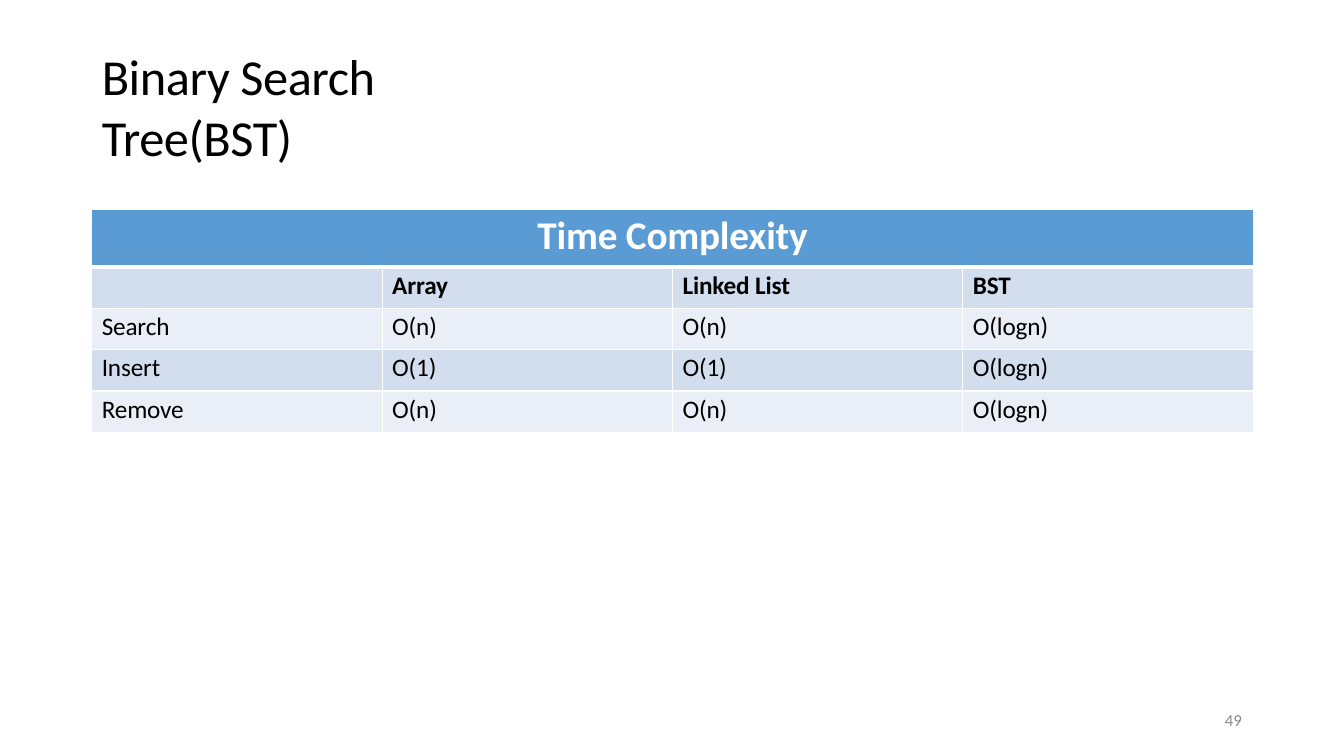
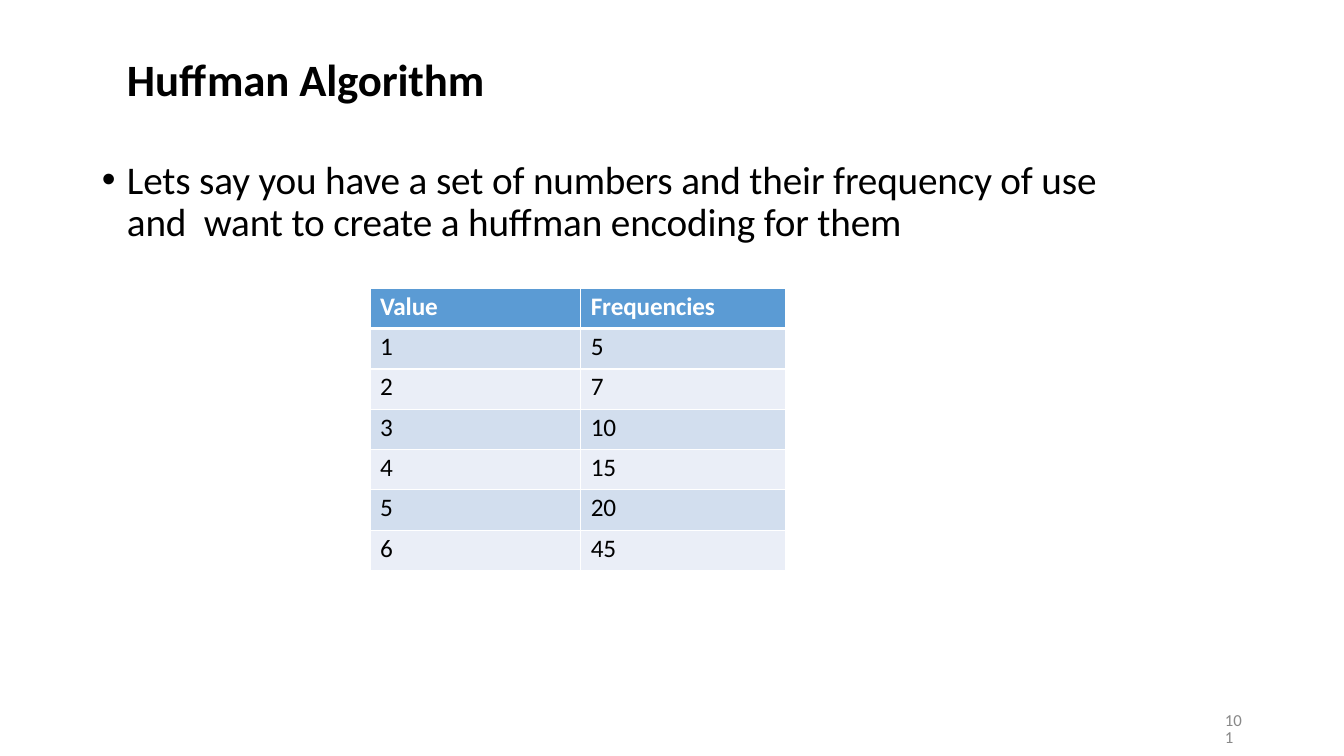
import pptx
import pptx.dml.color
import pptx.enum.text
import pptx.oxml.ns
import pptx.util
from lxml import etree

Inches, Pt = pptx.util.Inches, pptx.util.Pt
ALIGN = pptx.enum.text.PP_ALIGN
FONT = "Calibri"
BLACK, WHITE, GREY = "000000", "FFFFFF", "888888"
HEADER_FILL, BAND_FILLS = "5B9BD4", ("D2DEEE", "EAEEF7")
RULE, HEADER_RULE = 1, 3  # table border widths in points


def color(hex_value):
    return pptx.dml.color.RGBColor.from_string(hex_value)


def sub(parent, tag, **attributes):
    return etree.SubElement(parent, pptx.oxml.ns.qn(tag), attributes)


def write(paragraph, text, size, hex_value, bold=False, tracking=-0.1):
    """Put text in one paragraph; tracking is in points."""
    run = paragraph.add_run()
    run.text = text
    run._r.get_or_add_rPr().set("spc", str(round(tracking * 100)))
    font = paragraph.font
    font.name, font.size, font.bold = FONT, Pt(size), bold
    font.color.rgb = color(hex_value)


def add_text(slide, left, top, width, height, inset_left=0, inset_top=0):
    """Add an empty wrapping text box and return its first paragraph."""
    box = slide.shapes.add_textbox(
        Inches(left), Inches(top), Inches(width), Inches(height))
    frame = box.text_frame
    frame.word_wrap = True
    frame.margin_left, frame.margin_top = Inches(inset_left), Inches(inset_top)
    frame.margin_right = frame.margin_bottom = 0
    return frame.paragraphs[0]


def add_title(slide, text, left, top, width, height, size, **style):
    title = add_text(slide, left, top, width, height, 0.01, 0.01)
    write(title, text, size, BLACK, **style)


def add_page_number(slide, number):
    page = add_text(slide, 12.12, 7.07, 0.23, 0.2, 0.03)
    page.line_spacing = Pt(12.4)
    write(page, str(number), 12, GREY, tracking=0)


def add_bullet(slide, text, left, top, width, height):
    bullet = add_text(slide, left, top, width, height, inset_top=0.08)
    properties = bullet._p.get_or_add_pPr()
    properties.set("marL", str(Inches(0.26)))
    properties.set("indent", str(-Inches(0.25)))
    bullet.line_spacing = Pt(30.2)
    sub(properties, "a:buFont", typeface="Arial")
    sub(properties, "a:buChar", char="•")
    write(bullet, text, 28, BLACK)


# Tables
def set_borders(cell, top, bottom):
    properties = cell._tc.get_or_add_tcPr()
    sides = {"a:lnL": RULE, "a:lnR": RULE, "a:lnT": top, "a:lnB": bottom}
    for side, width in sides.items():
        line = sub(properties, side, w=str(Pt(width)))
        sub(sub(line, "a:solidFill"), "a:srgbClr", val=WHITE)


def add_banded_table(slide, rows, left, top, column_widths, row_heights,
                     header_size=18, bold_rows=(0,)):
    """Header row in blue, then alternating bands; a lone header cell spans all."""
    table = slide.shapes.add_table(
        len(rows), len(column_widths), Inches(left), Inches(top),
        Inches(sum(column_widths)), Inches(sum(row_heights))).table
    table.first_row = table.horz_banding = False
    for column, width in zip(table.columns, column_widths):
        column.width = Inches(width)
    for r, (row, height) in enumerate(zip(rows, row_heights)):
        table.rows[r].height = Inches(height)
        is_header = r == 0
        for c, cell in enumerate(table.rows[r].cells):
            cell.margin_left = cell.margin_right = Inches(0.1)
            cell.margin_top, cell.margin_bottom = Inches(0.03), 0
            set_borders(cell, HEADER_RULE if r == 1 else RULE,
                        HEADER_RULE if is_header else RULE)
            cell.fill.solid()
            cell.fill.fore_color.rgb = color(
                HEADER_FILL if is_header else BAND_FILLS[(r - 1) % 2])
            if c < len(row) and row[c]:
                write(cell.text_frame.paragraphs[0], row[c],
                      header_size if is_header else 18,
                      WHITE if is_header else BLACK, bold=r in bold_rows)
    if len(rows[0]) == 1:
        heading = table.cell(0, 0)
        heading.merge(table.cell(0, len(column_widths) - 1))
        heading.text_frame.paragraphs[0].alignment = ALIGN.CENTER


# Slides
def build_complexity(slide):
    add_page_number(slide, 49)
    add_title(slide, "Binary Search Tree(BST)", 1, 0.44, 4, 1.23, 36,
              tracking=-0.3)
    complexities = [
        ["Time Complexity"],
        ["", "Array", "Linked List", "BST"],
        ["Search", "O(n)", "O(n)", "O(logn)"],
        ["Insert", "O(1)", "O(1)", "O(logn)"],
        ["Remove", "O(n)", "O(n)", "O(logn)"],
    ]
    add_banded_table(slide, complexities, 0.91, 2.08, [2.88] * 4,
                     [0.57] + [0.41] * 4, header_size=28, bold_rows=(0, 1))


def build_huffman(slide):
    add_page_number(slide, 101)
    add_bullet(slide, "Lets say you have a set of numbers and their frequency "
               "of use and  want to create a huffman encoding for them",
               1, 1.51, 10.4, 0.91)
    frequencies = [5, 7, 10, 15, 20, 45]
    rows = [["Value", "Frequencies"]]
    rows += [[str(value), str(frequency)]
             for value, frequency in enumerate(frequencies, 1)]
    add_banded_table(slide, rows, 3.67, 2.86, [2.09, 2.03], [0.4] * len(rows))
    add_title(slide, "Huffman Algorithm", 1.25, 0.5, 4, 0.56, 32, bold=True)


def main():
    deck = pptx.Presentation()
    deck.slide_width, deck.slide_height = Inches(13.33), Inches(7.5)
    for build in (build_complexity, build_huffman):
        build(deck.slides.add_slide(deck.slide_layouts[6]))
    deck.save("out.pptx")


if __name__ == "__main__":
    main()
